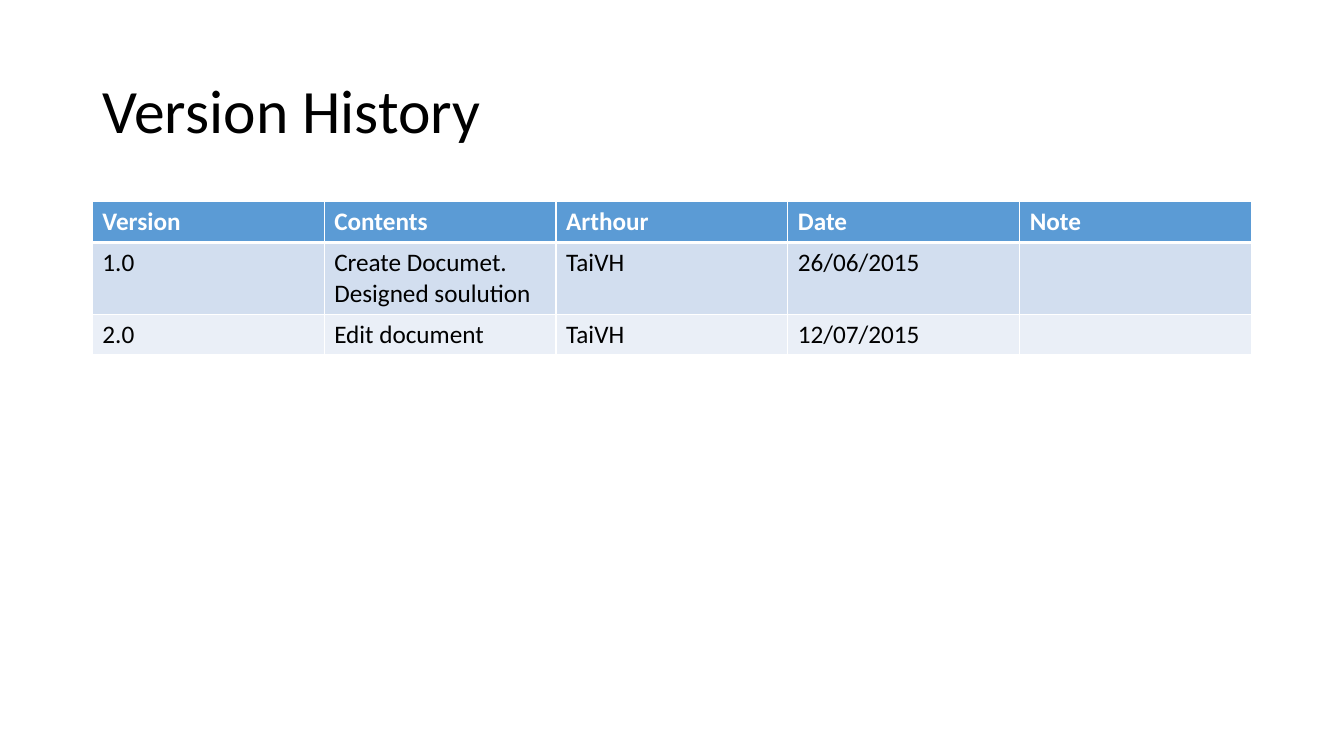
from dataclasses import dataclass

from lxml import etree
from pptx import Presentation
from pptx import util as u
from pptx.dml.color import RGBColor
from pptx.enum import text
from pptx.oxml import ns
from pptx.table import Table, _Cell
from pptx.text.text import _Paragraph

COLORS = {
    "black": "000000",
    "white": "FFFFFF",
    "header": "5B9BD5",
    "odd": "D2DEEF",
    "even": "EAEFF7",
}
FONT = "Calibri"
LEFT, WIDTH = 66, 828


@dataclass(frozen=True)
class VersionRow:
    entries: tuple[str, ...]
    height: float
    fill: str
    ink: str = "black"
    bold: bool = False
    top: float = 1
    bottom: float = 1


HISTORY = (
    VersionRow(("Version", "Contents", "Arthour", "Date", "Note"),
               29.2, "header", "white", True, bottom=3),
    VersionRow(("1.0", "Create Documet.\nDesigned soulution", "TaiVH", "26/06/2015", ""),
               50.4, "odd", top=3),
    VersionRow(("2.0", "Edit document", "TaiVH", "12/07/2015", ""), 29.2, "even"),
)


def rgb(name: str) -> RGBColor:
    return RGBColor.from_string(COLORS[name])


def add_run(paragraph: _Paragraph, wording: str, size: float, ink: str, bold: bool) -> None:
    run = paragraph.add_run()
    run.text = wording
    run.font.name = FONT
    run.font.size = u.Pt(size)
    run.font.bold = bold
    run.font.color.rgb = rgb(ink)


def set_borders(cell: _Cell, row: VersionRow) -> None:
    properties = cell._tc.get_or_add_tcPr()
    edges = (("L", 1), ("R", 1), ("T", row.top), ("B", row.bottom))
    for position, (side, width) in enumerate(edges):
        edge = etree.Element(ns.qn(f"a:ln{side}"), w=str(u.Pt(width)))
        fill = etree.SubElement(edge, ns.qn("a:solidFill"))
        etree.SubElement(fill, ns.qn("a:srgbClr"), val=COLORS["white"])
        properties.insert(position, edge)


def fill_cell(cell: _Cell, entry: str, row: VersionRow) -> None:
    cell.fill.solid()
    cell.fill.fore_color.rgb = rgb(row.fill)
    set_borders(cell, row)
    frame = cell.text_frame
    for number, line in enumerate(entry.splitlines()):
        paragraph = frame.add_paragraph() if number else frame.paragraphs[0]
        add_run(paragraph, line, 18, row.ink, row.bold)


def fill_history(history: Table) -> None:
    for column in history.columns:
        column.width = u.Pt(WIDTH / len(history.columns))
    for index, row in enumerate(HISTORY):
        history.rows[index].height = u.Pt(row.height)
        for column, entry in enumerate(row.entries):
            fill_cell(history.cell(index, column), entry, row)


def main() -> None:
    deck = Presentation()
    deck.slide_width, deck.slide_height = u.Pt(960), u.Pt(540)
    slide = deck.slides.add_slide(deck.slide_layouts[5])

    heading = slide.shapes.title
    heading.left, heading.top = u.Pt(LEFT), u.Pt(28.8)
    heading.width, heading.height = u.Pt(WIDTH), u.Pt(104.4)
    heading.text_frame.vertical_anchor = text.MSO_ANCHOR.MIDDLE
    heading_line = heading.text_frame.paragraphs[0]
    heading_line.alignment = text.PP_ALIGN.LEFT
    heading_line.line_spacing = 0.9
    add_run(heading_line, "Version History", 44, "black", False)

    history = slide.shapes.add_table(
        len(HISTORY), len(HISTORY[0].entries), u.Pt(LEFT), u.Pt(144),
        u.Pt(WIDTH), u.Pt(sum(row.height for row in HISTORY)),
    ).table
    fill_history(history)
    deck.save("out.pptx")


if __name__ == "__main__":
    main()
